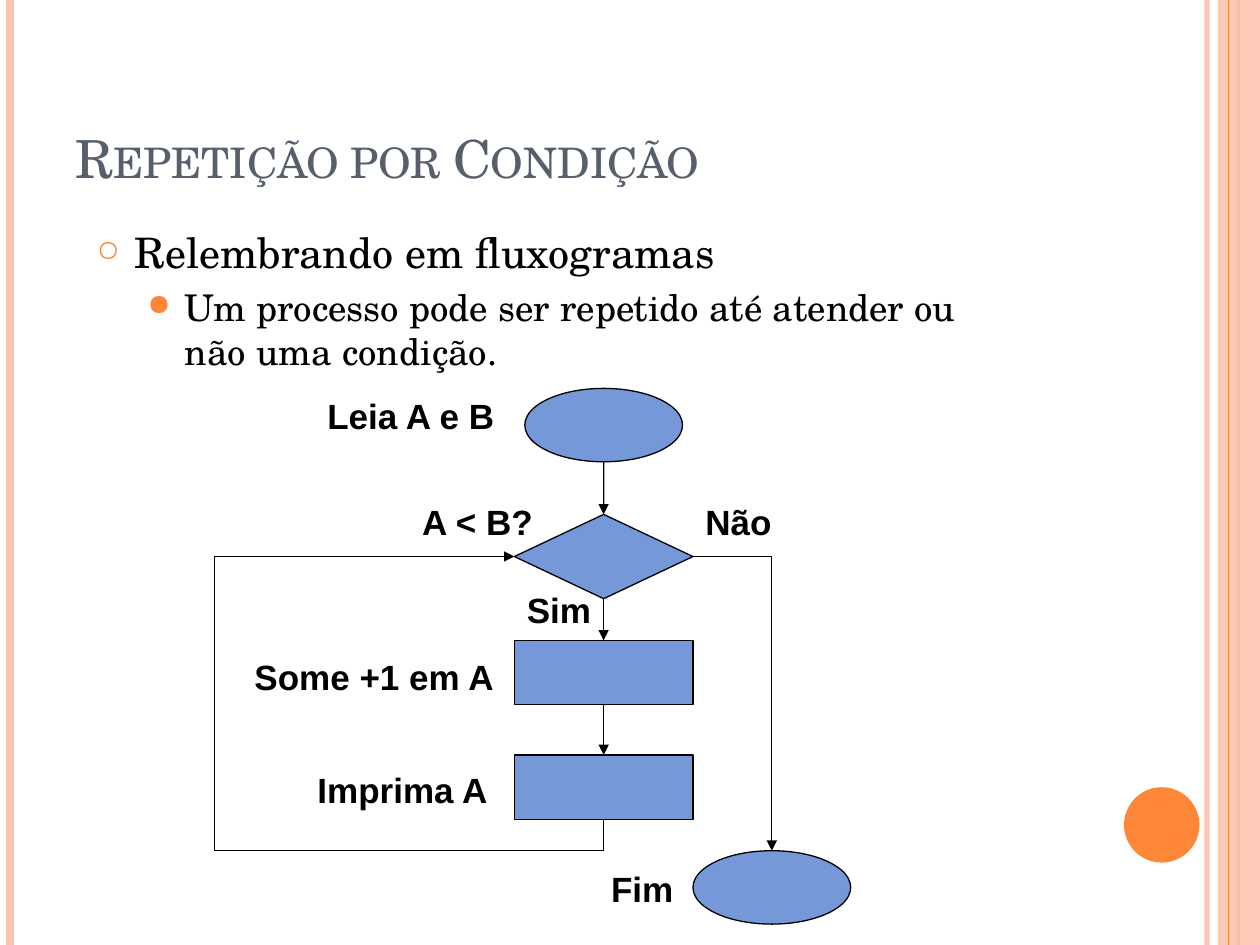
from pptx import Presentation
from pptx.dml.color import RGBColor
from pptx.enum.shapes import MSO_CONNECTOR, MSO_SHAPE
from pptx.enum.text import MSO_ANCHOR
from pptx.oxml.ns import qn
from pptx.util import Cm, Pt
from lxml import etree

STRAIGHT, ELBOW = MSO_CONNECTOR.STRAIGHT, MSO_CONNECTOR.ELBOW
RECT, OVAL = MSO_SHAPE.RECTANGLE, MSO_SHAPE.OVAL
DECISION = MSO_SHAPE.FLOWCHART_DECISION
BOTTOM_ANCHOR = MSO_ANCHOR.BOTTOM

BLACK = RGBColor(0x00, 0x00, 0x00)
ORANGE = RGBColor(0xFE, 0x86, 0x37)
PEACH = RGBColor(0xFE, 0xC3, 0xAE)
SLATE = RGBColor(0x57, 0x5F, 0x6D)
BLUE = RGBColor(0x75, 0x98, 0xD9)
SERIF, SANS = "TeX Gyre Schola", "Arial"
TOP, BOTTOM = 0, 2
SLIDE_W, SLIDE_H = 25.4, 19.05


def add_sub(parent, tag, **attrs):
    return etree.SubElement(parent, qn(tag), {k: str(v) for k, v in attrs.items()})


def set_alpha(sp, percent):
    """Make the first solid colour of a shape or line partly transparent."""
    color = next(sp._element.spPr.iter(qn("a:srgbClr")))
    add_sub(color, "a:alpha", val=percent * 1000)


def add_line(s, x1, y1, x2, y2, color=BLACK, width=0.75, kind=STRAIGHT, arrow=False):
    line = s.shapes.add_connector(kind, Cm(x1), Cm(y1), Cm(x2), Cm(y2))
    line.line.color.rgb = color
    line.line.width = Pt(width)
    if arrow:
        add_sub(line.line._get_or_add_ln(), "a:tailEnd", type="triangle")
    add_sub(line._element.spPr, "a:effectLst")
    return line


def add_filled(s, kind, x, y, w, h, fill, outline=None):
    sp = s.shapes.add_shape(kind, Cm(x), Cm(y), Cm(w), Cm(h))
    sp.shadow.inherit = False
    sp.fill.solid()
    sp.fill.fore_color.rgb = fill
    if outline is None:
        sp.line.fill.background()
    else:
        sp.line.color.rgb = outline
        sp.line.width = Pt(0.75)
    return sp


def add_text_frame(s, x, y, w, h):
    tf = s.shapes.add_textbox(Cm(x), Cm(y), Cm(w), Cm(h)).text_frame
    tf.word_wrap = True
    return tf


def write(p, text, size, font, color, bold=False):
    p.text = text
    r = p.runs[0]
    r.font.size, r.font.name, r.font.bold = Pt(size), font, bold
    r.font.color.rgb = color
    return r


def draw_frame(s, w, h):
    def vertical(x, color, width):
        return add_line(s, x, 0, x, h, color, width)

    set_alpha(vertical(w - 1.07, PEACH, 3), 93)
    vertical(0.2, PEACH, 4.5)
    vertical(w - 0.43, ORANGE, 1.5)
    set_alpha(add_filled(s, RECT, w - 0.85, 0, 0.85, h, PEACH), 87)
    vertical(w - 0.64, ORANGE, 0.75)
    add_filled(s, OVAL, w - 2.74, h - 3.18, 1.52, 1.52, ORANGE)


def draw_title(s, x, y, w, h):
    tf = add_text_frame(s, x, y, w, h)
    tf.vertical_anchor = BOTTOM_ANCHOR
    r = write(tf.paragraphs[0], "Repetição por Condição", 30, SERIF, SLATE)
    r.font._element.set("cap", "small")


def draw_body(s, x, y, w, h):
    tf = add_text_frame(s, x, y, w, h)
    items = [
        ("Relembrando em fluxogramas", 24, 0, 0.76, 6, "○", 70),
        ("Um processo pode ser repetido até atender ou não uma condição.",
         21, 1, 1.78, 4.2, "●", 80),
    ]
    for i, (text, size, level, margin, before, bullet, scale) in enumerate(items):
        p = tf.add_paragraph() if i else tf.paragraphs[0]
        write(p, text, size, SERIF, BLACK)
        p.level = level
        p.space_before = Pt(before)
        pPr = p._p.get_or_add_pPr()
        pPr.set("marL", str(Cm(margin)))
        pPr.set("indent", str(-Cm(0.76)))
        add_sub(add_sub(pPr, "a:buClr"), "a:srgbClr", val=ORANGE)
        add_sub(pPr, "a:buSzPct", val=scale * 1000)
        add_sub(pPr, "a:buChar", char=bullet)


def draw_flowchart(s, x, y):
    axis, end_axis = x + 7.85, x + 11.24
    step_w, step_h = 3.6, 1.3
    oval_w, oval_h = 3.18, 1.48
    test_h = 1.7
    test_y, end_y = y + 2.54, y + 9.32

    def node(kind, center, top, w, h):
        return add_filled(s, kind, center - w / 2, top, w, h, BLUE, BLACK)

    node(OVAL, axis, y, oval_w, oval_h)
    test = node(DECISION, axis, test_y, step_w, test_h)
    add_one = node(RECT, axis, y + 5.08, step_w, step_h)
    show = node(RECT, axis, y + 7.39, step_w, step_h)
    node(OVAL, end_axis, end_y, oval_w, oval_h)

    labels = [
        ("Leia A e B", 2.03, 0), ("A < B?", 3.94, 2.13), ("Não", 9.65, 2.13),
        ("Sim", 6.05, 3.91), ("Some +1 em A", 0.56, 5.26),
        ("Imprima A", 1.83, 7.54), ("Fim", 7.75, 9.53),
    ]
    for text, dx, dy in labels:
        tf = add_text_frame(s, x + dx, y + dy, 5.9, 1.09)
        write(tf.paragraphs[0], text, 20, SANS, BLACK, bold=True)

    start_arrow = add_line(s, axis, y + oval_h, axis, test_y, arrow=True)
    start_arrow.end_connect(test, TOP)
    for upper, lower in [(test, add_one), (add_one, show)]:
        arrow = add_line(s, axis, test_y, axis, end_y, arrow=True)
        arrow.begin_connect(upper, BOTTOM)
        arrow.end_connect(lower, TOP)

    test_mid = test_y + test_h / 2
    exit_arrow = add_line(s, axis + step_w / 2, test_mid, end_axis, end_y,
                          kind=ELBOW, arrow=True)
    exit_arrow._element.spPr.prstGeom.set("prst", "bentConnector2")
    draw_loop(s, axis, y + 7.39 + step_h, axis - step_w / 2, test_mid, x, end_y)


def draw_loop(s, x1, y1, x2, y2, left, bottom):
    """Arrow from (x1, y1) down to bottom, across to left, up and right to (x2, y2)."""
    w, h = y1 - y2, x1 - x2
    cx, cy = (x1 + x2) / 2, (y1 + y2) / 2
    loop = add_line(s, cx - w / 2, cy - h / 2, cx + w / 2, cy + h / 2,
                    kind=ELBOW, arrow=True)
    spPr = loop._element.spPr
    spPr.xfrm.set("rot", "16200000")
    spPr.xfrm.set("flipV", "1")
    geom = spPr.prstGeom
    geom.set("prst", "bentConnector4")
    guides = geom.find(qn("a:avLst"))
    if guides is None:
        guides = add_sub(geom, "a:avLst")
    for name, ratio in [("adj1", (y1 - bottom) / w), ("adj2", (x1 - left) / h)]:
        add_sub(guides, "a:gd", name=name, fmla=f"val {round(ratio * 100000)}")


def main():
    prs = Presentation()
    prs.slide_width, prs.slide_height = Cm(SLIDE_W), Cm(SLIDE_H)
    s = prs.slides.add_slide(prs.slide_layouts[6])
    draw_frame(s, SLIDE_W, SLIDE_H)
    draw_title(s, 1.27, 0.76, 20.75, 3.18)
    draw_body(s, 1.7, 4.45, 18.52, 12.27)
    draw_flowchart(s, 4.32, 7.83)
    prs.save("out.pptx")


if __name__ == "__main__":
    main()
